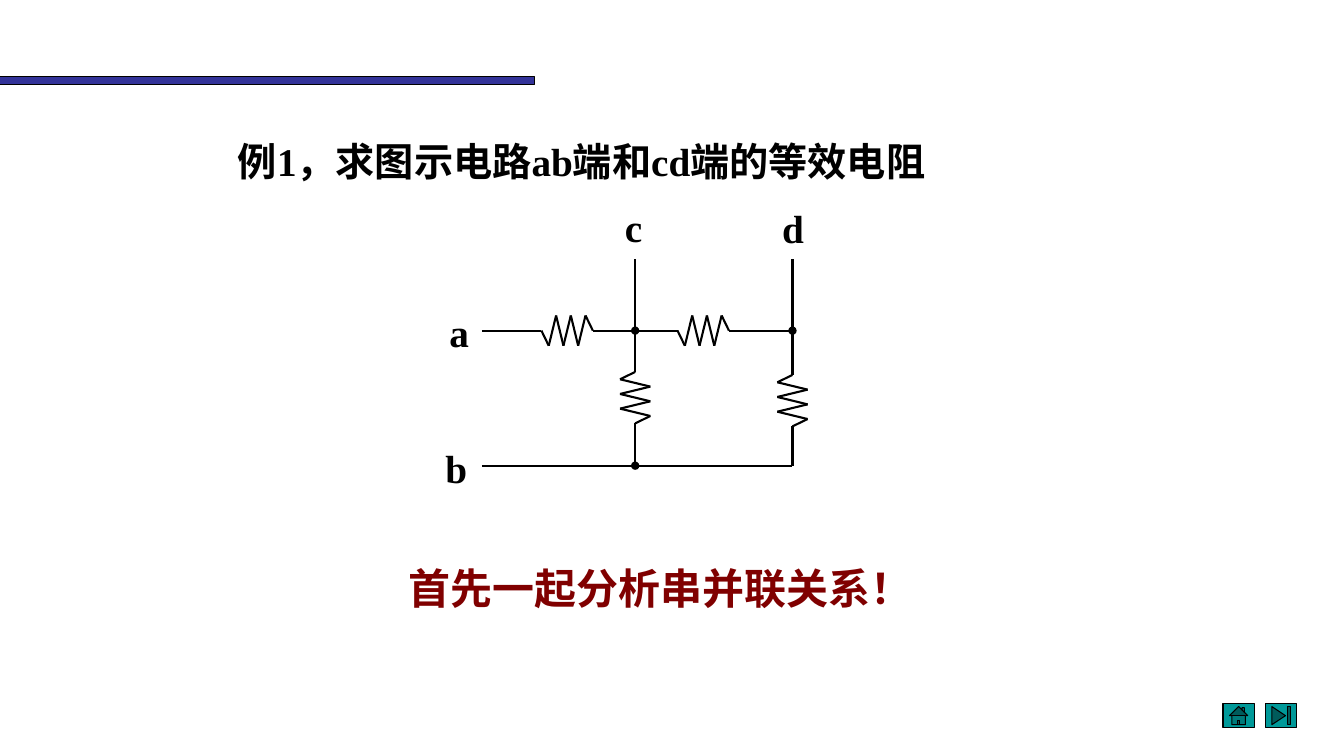
from itertools import pairwise

from lxml.etree import SubElement
from pptx import Presentation
from pptx.dml.color import RGBColor
from pptx.enum.shapes import MSO_CONNECTOR, MSO_SHAPE
from pptx.enum.text import MSO_ANCHOR, MSO_AUTO_SIZE, PP_ALIGN
from pptx.oxml.ns import qn
from pptx.util import Inches, Pt

BLACK = RGBColor(0x00, 0x00, 0x00)
NAVY = RGBColor(0x33, 0x33, 0x99)
TEAL = RGBColor(0x00, 0x99, 0x99)
MAROON = RGBColor(0x80, 0x00, 0x00)
LATIN_FONT = "Times New Roman"
CHINESE_FONT = "Noto Sans CJK SC"

LEAD, STEP, SWING, PEAKS = 0.23, 0.51 / 7, 0.15, 6


class CircuitSlide:
    def __init__(self, presentation):
        self.slide = presentation.slides.add_slide(presentation.slide_layouts[5])
        self.shapes = self.slide.shapes

    def fill_text(self, box, text, size=28, font=LATIN_FONT, color=BLACK, wrap=False):
        frame = box.text_frame
        frame.word_wrap = wrap
        frame.auto_size = MSO_AUTO_SIZE.SHAPE_TO_FIT_TEXT
        frame.vertical_anchor = MSO_ANCHOR.TOP
        frame.text = text
        paragraph = frame.paragraphs[0]
        paragraph.alignment = PP_ALIGN.LEFT
        paragraph.font.name = font
        paragraph.font.size = Pt(size)
        paragraph.font.bold = True
        paragraph.font.color.rgb = color
        properties = paragraph.font._element
        SubElement(properties, qn("a:ea")).set("typeface", CHINESE_FONT)

    def title(self, text, left, top, width, height):
        box = self.shapes.title
        box.left, box.top = Inches(left), Inches(top)
        box.width, box.height = Inches(width), Inches(height)
        self.fill_text(box, text, wrap=True)

    def text(self, text, left, top, width, height, **style):
        box = self.shapes.add_textbox(
            Inches(left), Inches(top), Inches(width), Inches(height))
        self.fill_text(box, text, **style)

    def block(self, preset, left, top, width, height, fill):
        block = self.shapes.add_shape(
            preset, Inches(left), Inches(top), Inches(width), Inches(height))
        block.shadow.inherit = False
        block.fill.solid()
        block.fill.fore_color.rgb = fill
        block.line.color.rgb = BLACK
        block.line.width = Pt(0.75)

    def wire(self, start, end, node=False):
        wire = self.shapes.add_connector(
            MSO_CONNECTOR.STRAIGHT, *map(Inches, start), *map(Inches, end))
        wire.line.color.rgb = BLACK
        wire.line.width = Pt(1.5)
        properties = wire._element.spPr
        if node:
            SubElement(properties.find(qn("a:ln")), qn("a:tailEnd")).set("type", "oval")
        SubElement(properties, qn("a:effectLst"))

    def resistor(self, x, y, vertical=False):
        swings = [SWING * (-1) ** peak for peak in range(PEAKS)]
        zigzag = [(LEAD + i * STEP, side) for i, side in enumerate([0, *swings, 0])]
        trace = [(0, 0), *zigzag, (zigzag[-1][0] + LEAD, 0)]
        points = [(x - side, y + along) if vertical else (x + along, y + side)
                  for along, side in trace]
        for start, end in pairwise(points):
            self.wire(start, end)


def main():
    presentation = Presentation()
    presentation.slide_width = Inches(13.33)
    presentation.slide_height = Inches(7.5)
    page = CircuitSlide(presentation)

    page.block(MSO_SHAPE.RECTANGLE, 0, 0.76, 5.3, 0.08, NAVY)
    page.block(MSO_SHAPE.ACTION_BUTTON_HOME, 12.13, 6.98, 0.31, 0.24, TEAL)
    page.block(MSO_SHAPE.ACTION_BUTTON_END, 12.55, 6.98, 0.31, 0.24, TEAL)
    page.title("例1，求图示电路ab端和cd端的等效电阻", 2.26, 1.31, 8.36, 0.57)

    left, c_x, d_x = 4.78, 6.3, 7.86
    top, a_y, b_y = 2.57, 3.28, 4.62

    for start, end in [(left, 5.33), (6.04, 6.59), (7.3, d_x)]:
        page.wire((start, a_y), (end, a_y))
    page.wire((left, b_y), (d_x, b_y))
    for x in (c_x, d_x):
        page.wire((x, top), (x, a_y), node=True)
        page.wire((x, a_y), (x, 3.6))
        page.wire((x, 4.3), (x, b_y), node=x == c_x)

    page.resistor(5.14, a_y)
    page.resistor(6.49, a_y)
    page.resistor(c_x, 3.46, vertical=True)
    page.resistor(d_x, 3.49, vertical=True)

    for terminal, x, y, width in [("a", 4.36, 3.01, 0.4), ("b", 4.32, 4.36, 0.42),
                                  ("c", 6.1, 1.97, 0.37), ("d", 7.66, 1.98, 0.42)]:
        page.text(terminal, x, y, width, 0.57)

    page.text("首先一起分析串并联关系！", 3.95, 5.53, 5.27, 0.61,
              size=30, font=CHINESE_FONT, color=MAROON)
    presentation.save("out.pptx")


if __name__ == "__main__":
    main()
